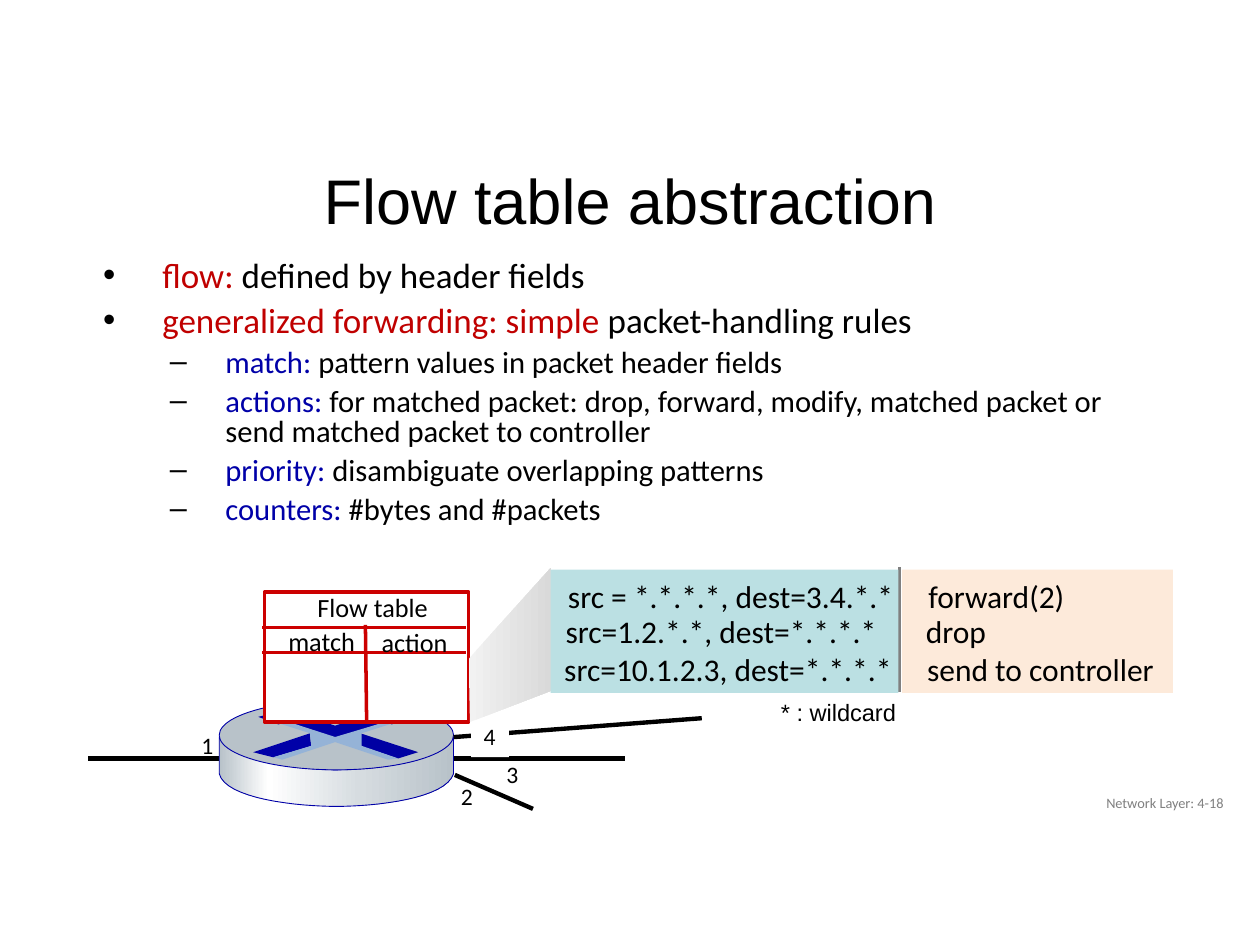
from dataclasses import dataclass
from typing import Optional

from lxml.etree import SubElement
from pptx import Presentation
from pptx.dml.color import RGBColor
from pptx.enum.shapes import MSO_CONNECTOR, MSO_SHAPE
from pptx.enum.text import MSO_ANCHOR as Anchor, PP_ALIGN as Align
from pptx.oxml.ns import qn
from pptx.util import Inches, Pt

COLUMNS, ROWS, CELL = 100, 75, 0.1  # the grid: square cells, in inches
BLACK, WHITE, GREY = "000000", "FFFFFF", "808080"
RED, DARK_RED, BLUE, ARROW_BLUE = "CC0000", "C00000", "0000A8", "0000A3"
Point = tuple[float, float]
Box = tuple[float, float, float, float]
Stops = list[tuple[int, str]]


@dataclass
class Label:
    text: str
    box: Box
    size: float
    font: str = "Calibri"
    color: str = BLACK
    align: Align = Align.LEFT
    anchor: Anchor = Anchor.TOP
    wrap: bool = False
    fill: Optional[str] = None


@dataclass
class Bullet:
    term: str
    explanation: str
    level: int = 0


@dataclass
class BulletStyle:
    size: float
    color: str
    mark: str
    margin: float
    hanging: float
    space_before: float


@dataclass
class Line:
    start: Point
    end: Point
    color: str = BLACK
    width: float = 2.5


BULLET_STYLES = [
    BulletStyle(20, DARK_RED, "•", 5, 4.7, 6.4),
    BulletStyle(17.5, BLUE, "–", 10, 4.4, 5.6),
]
BULLETS = [
    Bullet("flow: ", "defined by header fields"),
    Bullet("generalized forwarding: simple ", "packet-handling rules"),
    Bullet("match: ", "pattern values in packet header fields", 1),
    Bullet("actions: ", "for matched packet: drop, forward, modify, matched packet "
           "or send matched packet to controller", 1),
    Bullet("priority: ", "disambiguate overlapping patterns", 1),
    Bullet("counters: ", "#bytes and #packets", 1),
]
ROUTER_ARROWS = [
    ([(30.4, 56.3), (32.9, 56.8), (31.1, 57.5), (30.6, 57.3), (26.6, 58.6), (22.9, 57.3),
      (22.1, 57.5), (20.5, 56.9), (22.9, 56.3), (26.6, 57.6)], ARROW_BLUE),
    ([(28.6, 58.2), (33.2, 59.7), (31.6, 60.2), (28.6, 59.2)], ARROW_BLUE),
    ([(24.6, 58.2), (24.7, 59.2), (21.7, 60.1), (20.1, 59.7)], BLUE),
    ([(22.1, 57.4), (22.9, 57.3), (26.6, 58.5), (30.6, 57.3), (31.2, 57.4), (28.7, 58.2),
      (28.7, 59.2), (31.6, 60.2), (30.8, 60.3), (26.6, 58.9), (22.4, 60.3), (21.7, 60.1),
      (24.7, 59.2), (24.6, 58.2)], "95B3D7"),
]
FLOW_TABLE_LINES = [
    Line((20.8, 49.8), (37, 49.8), RED, 2),
    Line((20.8, 51.8), (37, 51.8), RED, 2),
    Line((29.1, 57.3), (29, 49.6), RED, 2),
]
LINKS = [Line((36, 58.5), (55.7, 57)), Line((36.1, 61.5), (42.3, 64.2))]
FLOW_TABLE_LABELS = [
    Label("Flow table", (24.2, 46.4, 10.9, 3.5), 15),
    Label("match", (21.9, 49.1, 7.4, 3.5), 15),
    Label("action", (29.3, 49.2, 7.3, 3.5), 15),
]
PORT_LABELS = [
    Label("1", (15, 57.5, 3, 3.3), 13.5),
    Label("2", (35.6, 61.6, 3, 3.3), 13.5),
    Label("3", (39.2, 59.8, 3, 3.3), 13.5),
    Label("4", (37.4, 56.8, 3, 3.3), 13.5, fill=WHITE),
]
RULES = [  # match, its column, action, its column, row
    ("src = *.*.*.*, dest=3.4.*.*", 44.1, "forward(2)", 72.7, 45.3),
    ("src=1.2.*.*, dest=*.*.*.*", 43.9, "drop", 72.5, 48.1),
    ("src=10.1.2.3, dest=*.*.*.*", 43.8, "send to controller", 72.6, 51.1),
]


def cells(count: float) -> int:
    return Inches(count * CELL)


def rgb(color: str) -> RGBColor:
    return RGBColor.from_string(color)


def paint(shape, fill: Optional[str], line: Optional[str] = None, width: float = 1) -> None:
    shape.shadow.inherit = False
    if fill:
        shape.fill.solid()
        shape.fill.fore_color.rgb = rgb(fill)
    if line:
        shape.line.color.rgb = rgb(line)
        shape.line.width = Pt(width)
    else:
        shape.line.fill.background()


def paint_gradient(shape, stops: Stops) -> None:
    """Fill from left to right with stops given in percent."""
    shape.fill.gradient()
    shape.fill.gradient_angle = 0
    stop_list = shape._element.spPr.find(qn("a:gradFill")).find(qn("a:gsLst"))
    stop_list.clear()
    for percent, color in stops:
        stop = SubElement(stop_list, qn("a:gs"), pos=str(percent * 1000))
        SubElement(stop, qn("a:srgbClr"), val=color)


def add_preset(slide, kind: MSO_SHAPE, box: Box, fill: str,
               line: Optional[str] = None, width: float = 1) -> None:
    paint(slide.shapes.add_shape(kind, *map(cells, box)), fill, line, width)


def add_outline(slide, points: list[Point]):
    corners = [(cells(x), cells(y)) for x, y in points]
    builder = slide.shapes.build_freeform(*corners[0])
    builder.add_line_segments(corners[1:], close=True)
    return builder.convert_to_shape()


def curve(start: Point, first: Point, second: Point, end: Point, steps: int = 16) -> list[Point]:
    """Points along a cubic Bézier curve."""
    def blend(t: float, axis: int) -> float:
        u = 1 - t
        return (u**3 * start[axis] + 3 * u * u * t * first[axis]
                + 3 * u * t * t * second[axis] + t**3 * end[axis])
    return [(blend(i / steps, 0), blend(i / steps, 1)) for i in range(steps + 1)]


def add_line(slide, line: Line) -> None:
    connector = slide.shapes.add_connector(
        MSO_CONNECTOR.STRAIGHT, *map(cells, line.start + line.end))
    connector.line.color.rgb = rgb(line.color)
    connector.line.width = Pt(line.width)
    SubElement(connector._element.spPr, qn("a:effectLst"))


def add_run(paragraph, text: str, size: float, color: str, font: str = "Calibri") -> None:
    run = paragraph.add_run()
    run.text = text
    run.font.size, run.font.name, run.font.color.rgb = Pt(size), font, rgb(color)


def add_label(slide, label: Label) -> None:
    shape = slide.shapes.add_textbox(*map(cells, label.box))
    if label.fill:
        paint(shape, label.fill)
    frame = shape.text_frame
    frame.word_wrap, frame.vertical_anchor = label.wrap, label.anchor
    paragraph = frame.paragraphs[0]
    paragraph.alignment = label.align
    add_run(paragraph, label.text, label.size, label.color, label.font)


def add_bullets(slide, box: Box) -> None:
    frame = slide.shapes.add_textbox(*map(cells, box)).text_frame
    frame.word_wrap = True
    for index, bullet in enumerate(BULLETS):
        style = BULLET_STYLES[bullet.level]
        paragraph = frame.add_paragraph() if index else frame.paragraphs[0]
        paragraph.level, paragraph.line_spacing = bullet.level, 0.8
        paragraph.space_before = Pt(style.space_before)
        properties = paragraph._p.get_or_add_pPr()
        properties.set("marL", str(cells(style.margin)))
        properties.set("indent", str(-cells(style.hanging)))
        mark_color = SubElement(properties, qn("a:buClr"))
        SubElement(mark_color, qn("a:srgbClr"), val=BLACK)
        SubElement(properties, qn("a:buFont"), typeface="Arial")
        SubElement(properties, qn("a:buChar"), char=style.mark)
        add_run(paragraph, bullet.term, style.size, style.color)
        add_run(paragraph, bullet.explanation, style.size, BLACK)


def add_router(slide) -> None:
    side = add_outline(slide, [
        (36, 58.5),
        *curve((36, 61.4), (35.4, 63.4), (29.8, 64), (26.7, 64)),
        *curve((26.7, 64), (23.6, 64), (17.9, 63.4), (17.4, 61.4)),
        *curve((17.4, 58.5), (18.2, 60.2), (23.5, 61.1), (26.6, 61.1)),
        *curve((26.6, 61.1), (29.7, 61.1), (35.1, 60.5), (36, 58.5))])
    paint(side, None, BLUE, 0.5)
    paint_gradient(side, [(0, "B8C2C9"), (21, WHITE), (60, "D6DCE0"), (100, "B8C2C9")])
    add_preset(slide, MSO_SHAPE.OVAL, (17.4, 55.6, 18.6, 5.5), "B8C2C9", BLUE, 0.5)
    for points, color in ROUTER_ARROWS:
        paint(add_outline(slide, points), color)


def add_flow_table(slide) -> None:
    add_preset(slide, MSO_SHAPE.RECTANGLE, (21, 47, 16.2, 10.3), WHITE, RED, 2)
    for line in FLOW_TABLE_LINES:
        add_line(slide, line)
    for label in FLOW_TABLE_LABELS:
        add_label(slide, label)


def add_rules(slide) -> None:
    add_label(slide, Label("* : wildcard", (61, 54.9, 11.3, 3.3), 13.5, "Arial"))
    beam = add_outline(slide, [(37.3, 57.3), (43.8, 54.8), (43.7, 45.1), (37.2, 52.3)])
    paint(beam, None)
    paint_gradient(beam, [(0, "F2F2F2"), (100, "D9D9D9")])
    add_line(slide, Line((71.4, 45), (71.4, 54.9), GREY, 2))
    add_preset(slide, MSO_SHAPE.RECTANGLE, (43.7, 45.2, 27.6, 9.8), "BBE0E3")
    add_preset(slide, MSO_SHAPE.RECTANGLE, (71.6, 45.2, 21.5, 9.8), "FDEADA")
    for match, match_column, action, action_column, row in RULES:
        add_label(slide, Label(match, (match_column, row, 29, 4), 18, wrap=True))
        add_label(slide, Label(action, (action_column, row, 21, 4), 18, wrap=True))


def main() -> None:
    presentation = Presentation()
    presentation.slide_width, presentation.slide_height = cells(COLUMNS), cells(ROWS)
    slide = presentation.slides.add_slide(presentation.slide_layouts[6])
    add_bullets(slide, (6.9, 20.3, 86.2, 25))
    add_line(slide, Line((7, 60.2), (49.6, 60.2)))
    add_router(slide)
    add_flow_table(slide)
    for link in LINKS:
        add_line(slide, link)
    for label in PORT_LABELS:
        add_label(slide, label)
    add_rules(slide)
    add_label(slide, Label("Flow table abstraction", (6.9, 12.2, 86.2, 7.3), 36, "Arial",
                           align=Align.CENTER, anchor=Anchor.MIDDLE, wrap=True))
    add_label(slide, Label("Network Layer: 4-18", (75.6, 62.2, 22.5, 3), 8.2, color=GREY,
                           align=Align.RIGHT, anchor=Anchor.MIDDLE, wrap=True))
    presentation.save("out.pptx")


if __name__ == "__main__":
    main()
